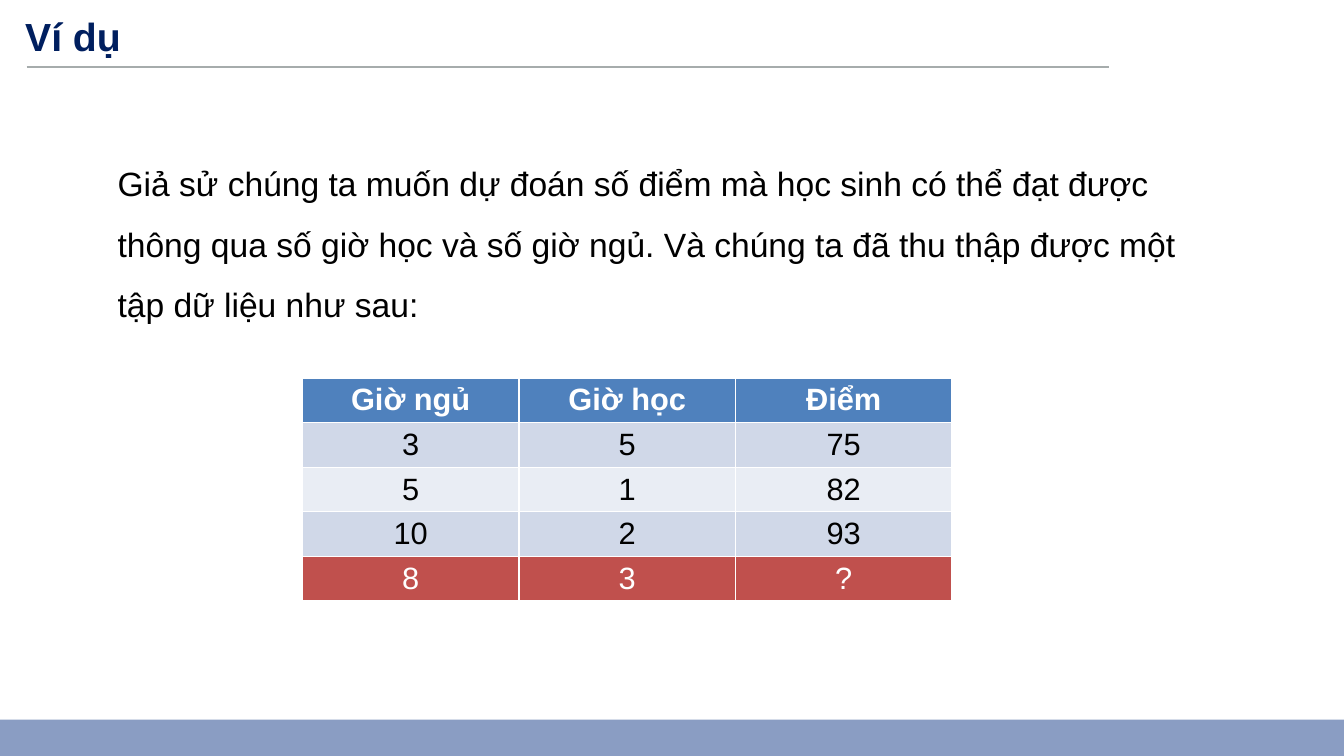
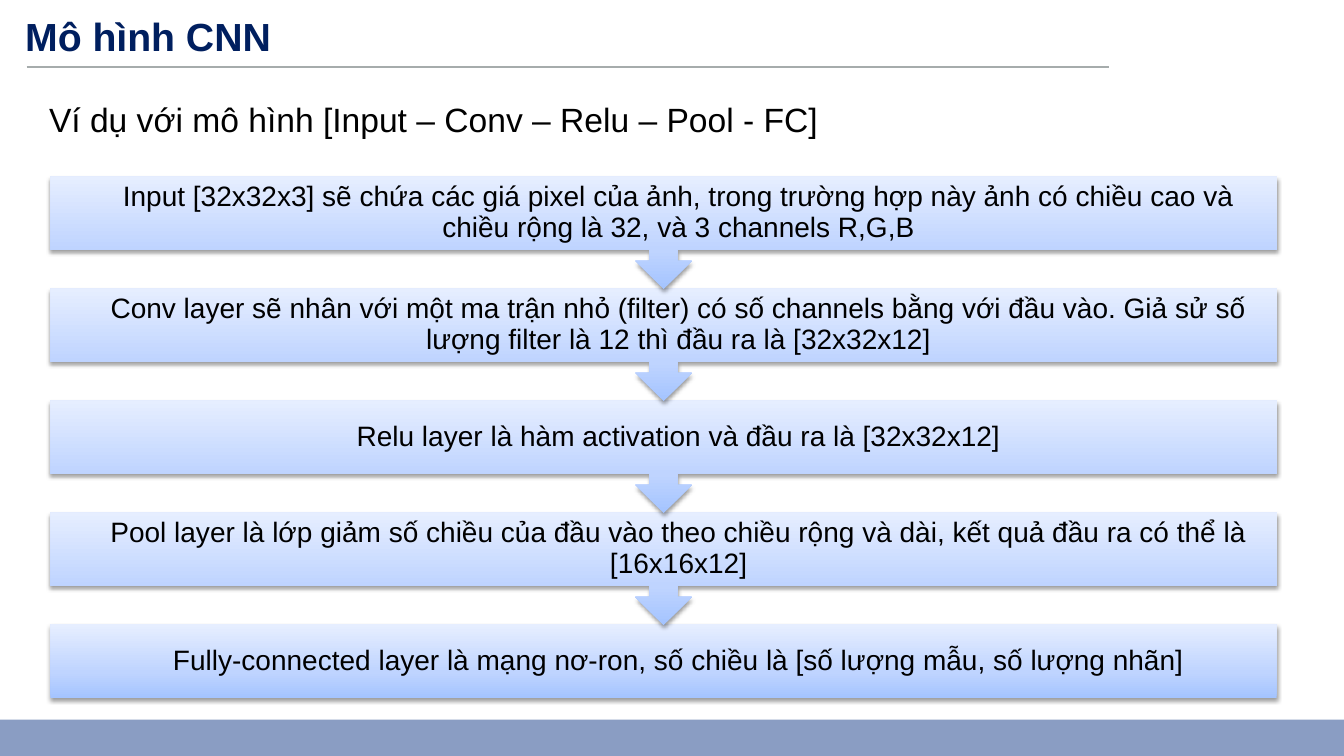
"""Build two slides: a study-hours data set and the layers of a CNN."""
from pptx import Presentation
from pptx.dml.color import RGBColor as RGB
from pptx.enum.shapes import MSO_CONNECTOR as CONN, MSO_SHAPE as SHAPE
from pptx.enum.text import MSO_ANCHOR as ANCHOR, MSO_AUTO_SIZE as AUTO, PP_ALIGN as ALIGN
from pptx.oxml import parse_xml
from pptx.oxml.ns import nsdecls, qn
from pptx.oxml.xmlchemy import OxmlElement
from pptx.util import Pt

C = {"title": "001F5F", "text": "000000", "white": "FFFFFF", "rule": "A6ACAC",
     "band": "8A9DC3", "head": "4F81BD", "odd": "D0D8E8", "even": "E9EDF4",
     "query": "C0504D", "deep": "A4C4FF", "mid": "BFD4FF", "pale": "E6EEFF"}
FONT = "Arial"
GRADIENT = (
    f'<a:gradFill {nsdecls("a")} rotWithShape="1"><a:gsLst>'
    + "".join(f'<a:gs pos="{pos}"><a:srgbClr val="{C[name]}"/></a:gs>'
              for pos, name in ((0, "deep"), (35000, "mid"), (100000, "pale")))
    + '</a:gsLst><a:lin ang="16200000" scaled="0"/></a:gradFill>')
SHADOW = (
    f'<a:outerShdw {nsdecls("a")} blurRad="40000" dist="20000" dir="5400000" rotWithShape="0">'
    f'<a:srgbClr val="{C["text"]}"><a:alpha val="38000"/></a:srgbClr></a:outerShdw>')


def write(tf, text, size, color="text", bold=False, align=ALIGN.LEFT, spacing=1.0):
    p = tf.paragraphs[0]
    p.alignment, p.line_spacing, p.space_before = align, spacing, Pt(0)
    r = p.add_run()
    r.text = text
    r.font.name, r.font.size, r.font.bold = FONT, Pt(size), bold
    r.font.color.rgb = RGB.from_string(C[color])
    return p


def place(sp, left, top, width, height):
    sp.left, sp.top, sp.width, sp.height = Pt(left), Pt(top), Pt(width), Pt(height)
    tf = sp.text_frame
    tf.margin_left = tf.margin_top = tf.margin_right = tf.margin_bottom = 0
    tf.vertical_anchor, tf.auto_size, tf.word_wrap = ANCHOR.TOP, AUTO.NONE, True
    return tf


prs = Presentation()
prs.slide_width, prs.slide_height = Pt(960), Pt(540)

data_slide = prs.slides.add_slide(prs.slide_layouts[1])
model_slide = prs.slides.add_slide(prs.slide_layouts[5])

rule = data_slide.shapes.add_connector(CONN.STRAIGHT, Pt(19), Pt(48), Pt(792), Pt(48))
rule.line.color.rgb = RGB.from_string(C["rule"])
rule.line.width = Pt(1.56)
rule.element.spPr.append(OxmlElement("a:effectLst"))
band = data_slide.shapes.add_shape(SHAPE.RECTANGLE, 0, Pt(514), Pt(960), Pt(26))
band.shadow.inherit = False
band.fill.solid()
band.fill.fore_color.rgb = RGB.from_string(C["band"])
band.line.fill.background()
for sp in (rule, band):
    prs.slide_master.shapes.element.append(sp.element)

for slide, title in ((data_slide, "Ví dụ"), (model_slide, "Mô hình CNN")):
    write(place(slide.shapes.title, 18, 8.5, 703, 34), title, 28, "title", bold=True)

tf = place(data_slide.placeholders[1], 84, 102, 792, 169)
pPr = tf.paragraphs[0]._p.get_or_add_pPr()
pPr.set("marL", "0")
pPr.set("indent", "0")
pPr.append(OxmlElement("a:buNone"))
write(tf, "Giả sử chúng ta muốn dự đoán số điểm mà học sinh có thể đạt được thông qua "
      "số giờ học và số giờ ngủ. Và chúng ta đã thu thập được một tập dữ liệu như sau:",
      24, spacing=1.5)

rows = [(("Giờ ngủ", "Giờ học", "Điểm"), "head", "white"),
        (("3", "5", "75"), "odd", "text"),
        (("5", "1", "82"), "even", "text"),
        (("10", "2", "93"), "odd", "text"),
        (("8", "3", "?"), "query", "white")]
table = data_slide.shapes.add_table(len(rows), 3, Pt(216), Pt(270), Pt(464), Pt(151)).table
for i, (values, fill, color) in enumerate(rows):
    for j, value in enumerate(values):
        cell = table.cell(i, j)
        cell.fill.solid()
        cell.fill.fore_color.rgb = RGB.from_string(C[fill])
        write(cell.text_frame, value, 22, color, bold=i == 0, align=ALIGN.CENTER)

layers = [
    "Input [32x32x3] sẽ chứa các giá pixel của ảnh, trong trường hợp này ảnh có chiều cao "
    "và chiều rộng là 32, và 3 channels R,G,B",
    "Conv layer sẽ nhân với một ma trận nhỏ (filter) có số channels bằng với đầu vào. "
    "Giả sử số lượng filter là 12 thì đầu ra là [32x32x12]",
    "Relu layer là hàm activation và đầu ra là [32x32x12]",
    "Pool layer là lớp giảm số chiều của đầu vào theo chiều rộng và dài, kết quả đầu ra "
    "có thể là [16x16x12]",
    "Fully-connected layer là mạng nơ-ron, số chiều là [số lượng mẫu, số lượng nhãn]"]
last = len(layers) - 1
for i, text in reversed(list(enumerate(layers))):
    kind, height = (SHAPE.RECTANGLE, 52.5) if i == last else (SHAPE.DOWN_ARROW_CALLOUT, 80.5)
    sp = model_slide.shapes.add_shape(kind, Pt(36), Pt(126 + 80 * i), Pt(876), Pt(height))
    spPr = sp.element.spPr
    spPr.append(parse_xml(GRADIENT))
    sp.line.fill.background()
    sp.shadow.inherit = False
    spPr.find(qn("a:effectLst")).append(parse_xml(SHADOW))
    tf = sp.text_frame
    tf.word_wrap, tf.vertical_anchor = True, ANCHOR.MIDDLE
    tf.margin_left, tf.margin_right = Pt(33), Pt(11.5)
    tf.margin_top = tf.margin_bottom = 0
    write(tf, text, 20, align=ALIGN.CENTER, spacing=0.9)

intro = model_slide.shapes.add_textbox(Pt(6), Pt(70.5), Pt(591), Pt(33))
intro.text_frame.margin_left = Pt(29)
intro.text_frame.word_wrap = False
write(intro.text_frame, "Ví dụ với mô hình [Input – Conv – Relu – Pool - FC]", 24, spacing=0.9)

prs.save("out.pptx")
